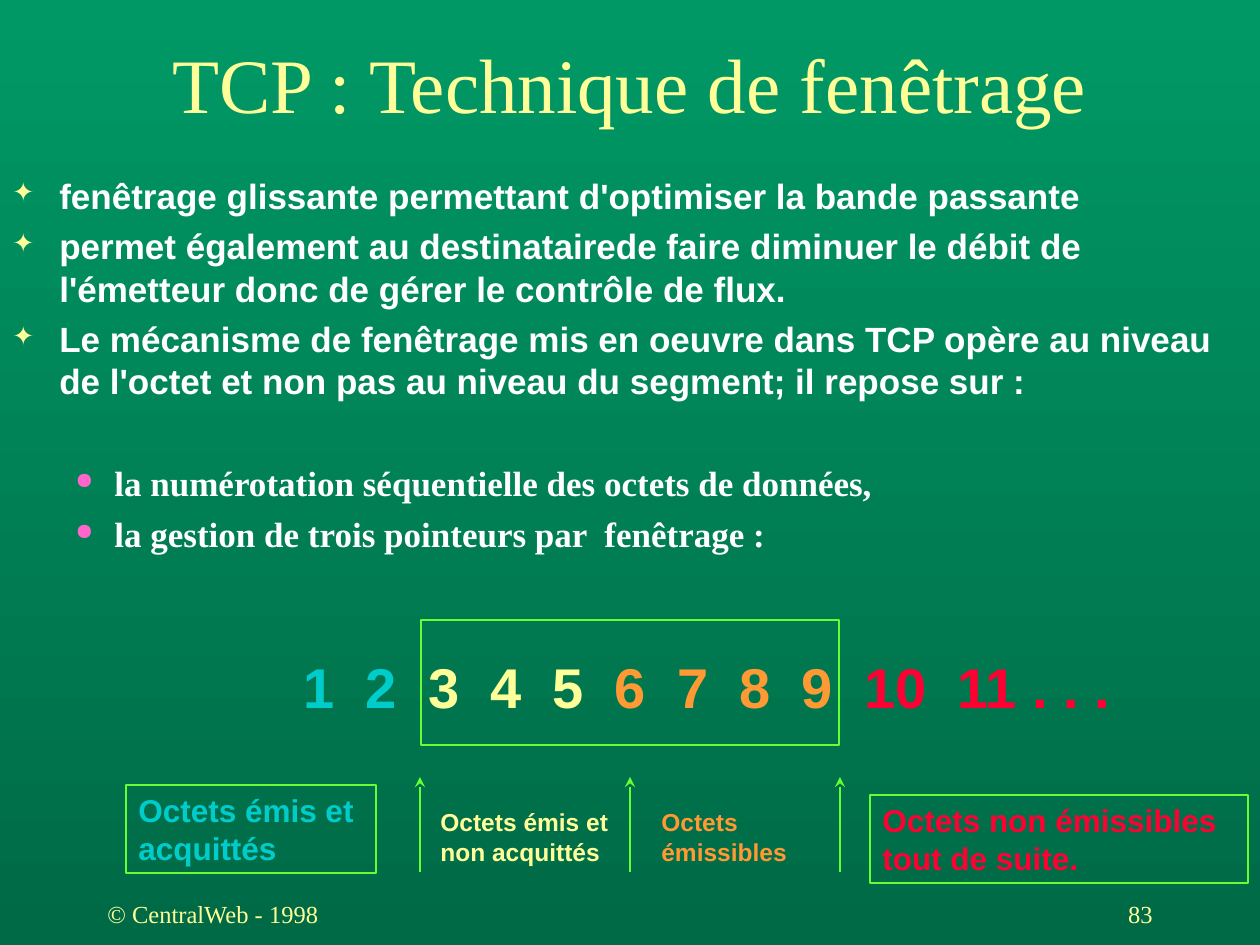
from dataclasses import dataclass

from lxml.etree import SubElement
from pptx import Presentation
from pptx.dml.color import RGBColor
from pptx.enum.shapes import MSO_CONNECTOR as Connector, MSO_SHAPE as Shape
from pptx.enum.text import MSO_ANCHOR as Anchor, PP_ALIGN as Align
from pptx.oxml.ns import qn
from pptx.util import Pt

PX = 914400 / 126


@dataclass(frozen=True)
class Theme:
    serif: str = "Times New Roman"
    sans: str = "Arial"
    top: str = "009966"
    bottom: str = "006A46"
    yellow: str = "FFFF99"
    white: str = "FFFFFF"
    cyan: str = "00CCCC"
    orange: str = "FF9933"
    red: str = "FF0033"
    pink: str = "FF66CC"
    green: str = "66FF33"
    title: int = 44
    digits: int = 32
    body: int = 20
    label: int = 18
    small: int = 14


THEME = Theme()


def emu(*lengths):
    return [round(length * PX) for length in lengths]


def rgb(colour):
    return RGBColor.from_string(colour)


def style(span, size, colour, face=THEME.sans, bold=True):
    font = span.font
    font.size, font.name, font.bold = Pt(size), face, bold
    font.color.rgb = rgb(colour)


def add_text(page, box, text, size, colour, face=THEME.sans, bold=True,
             wrap=True, anchor=Anchor.TOP, align=Align.LEFT, framed=False):
    """Place text of one style; framed draws the green outline round it."""
    if framed:
        shape = add_frame(page, box)
    else:
        shape = page.shapes.add_textbox(*emu(*box))
    frame = shape.text_frame
    frame.word_wrap, frame.vertical_anchor = wrap, anchor
    frame.text = text
    for para in frame.paragraphs:
        para.alignment = align
        for span in para.runs:
            style(span, size, colour, face, bold)
    return shape


def add_frame(page, box):
    frame = page.shapes.add_shape(Shape.RECTANGLE, *emu(*box))
    frame.shadow.inherit = False
    frame.fill.background()
    frame.line.color.rgb = rgb(THEME.green)
    frame.line.width = Pt(1)
    return frame


def add_bullet(para, char, colour, percent, margin, hang):
    props = para._p.get_or_add_pPr()
    props.set("marL", str(emu(margin)[0]))
    props.set("indent", str(emu(-hang)[0]))
    SubElement(SubElement(props, qn("a:buClr")), qn("a:srgbClr")).set("val", colour)
    SubElement(props, qn("a:buSzPct")).set("val", str(percent * 1000))
    SubElement(props, qn("a:buChar")).set("char", char)


def add_tabs(para, stops):
    tabs = SubElement(para._p.get_or_add_pPr(), qn("a:tabLst"))
    for stop in emu(*stops):
        tab = SubElement(tabs, qn("a:tab"))
        tab.set("pos", str(stop))
        tab.set("algn", "l")


def add_background(page):
    fill = page.background.fill
    fill.gradient()
    fill.gradient_angle = 270
    for stop, colour, place in zip(fill.gradient_stops, (THEME.top, THEME.bottom), (0, 1)):
        stop.color.rgb = rgb(colour)
        stop.position = place


def add_body(page, box):
    points = [
        "fenêtrage glissante permettant d'optimiser la bande passante",
        "permet également au destinatairede faire diminuer le débit de "
        "l'émetteur donc de gérer le contrôle de flux.",
        "Le mécanisme de fenêtrage mis en oeuvre dans TCP opère au niveau "
        "de l'octet et non pas au niveau du segment; il repose sur :",
    ]
    details = [
        "la numérotation séquentielle des octets de données,",
        "la gestion de trois pointeurs par  fenêtrage :",
    ]
    body = add_text(page, box, "\n".join(points + details), THEME.body, THEME.white)
    paras = body.text_frame.paragraphs
    first_detail = len(points)
    for para in paras[1:]:
        para.space_before = Pt(5)
    paras[first_detail].space_before = Pt(34)
    for para in paras[:first_detail]:
        add_bullet(para, "✦", THEME.yellow, 75, 47, 47)
    for para in paras[first_detail:]:
        para.level = 1
        add_bullet(para, "●", THEME.pink, 65, 102, 39)
        for span in para.runs:
            span.font.name = THEME.serif


def add_digits(page, box):
    """Write the byte numbers on equal tab stops, coloured by state."""
    groups = [
        ("1\t2\t", THEME.cyan),
        ("3\t4\t5\t", THEME.yellow),
        ("6\t7\t8\t9\t", THEME.orange),
        ("10\t11 . . .", THEME.red),
    ]
    pitch = 62.3
    frame = page.shapes.add_textbox(*emu(*box)).text_frame
    frame.word_wrap = True
    para = frame.paragraphs[0]
    add_tabs(para, [pitch * step for step in range(1, 10)] + [pitch * 10.5])
    for text, colour in groups:
        span = para.add_run()
        span.text = text
        style(span, THEME.digits, colour)


def add_pointer(page, x, top, bottom):
    pointer = page.shapes.add_connector(Connector.STRAIGHT, *emu(x, top, x, bottom))
    pointer.line.color.rgb = rgb(THEME.green)
    pointer.line.width = Pt(1)
    SubElement(pointer.line._get_or_add_ln(), qn("a:headEnd")).set("type", "stealth")
    SubElement(pointer._element.spPr, qn("a:effectLst"))


def add_window(page, box):
    """Draw the byte window, its three pointers and the four captions."""
    left, top, width, height = box
    add_digits(page, (left - 130, top + 26, 835, 79))
    add_frame(page, box)
    for part in range(3):
        add_pointer(page, left - 1 + part * 210, top + 157, top + 252)
    captions = [
        ((-295, 165, 250, 88), "Octets émis et\nacquittés", THEME.label, THEME.cyan, False, True),
        ((7, 181, 200, 72), "Octets émis et\nnon acquittés", THEME.small, THEME.yellow, False, False),
        ((228, 181, 151, 72), "Octets\némissibles", THEME.small, THEME.orange, False, False),
        ((449, 175, 378, 88), "Octets non émissibles\ntout de suite.", THEME.label, THEME.red, True, True),
    ]
    for (dx, dy, w, h), text, size, colour, wrap, framed in captions:
        add_text(page, (left + dx, top + dy, w, h), text, size, colour,
                 wrap=wrap, framed=framed)


def add_footer(page, box):
    left, top, width, height = box
    cell = 262
    for x, text, align in ((left, "© CentralWeb - 1998", Align.LEFT),
                           (left + width - cell, "83", Align.RIGHT)):
        add_text(page, (x, top, cell, height), text, THEME.small, THEME.yellow,
                 THEME.serif, False, anchor=Anchor.MIDDLE, align=align)


def main():
    deck = Presentation()
    deck.slide_width, deck.slide_height = emu(1260, 945)
    page = deck.slides.add_slide(deck.slide_layouts[6])
    add_background(page)
    add_text(page, (0, 39, 1260, 87), "TCP : Technique de fenêtrage", THEME.title,
             THEME.yellow, THEME.serif, False, anchor=Anchor.MIDDLE, align=Align.CENTER)
    add_body(page, (0, 168, 1250, 399))
    add_window(page, (421, 620, 418, 125))
    add_footer(page, (95, 882, 1070, 63))
    deck.save("out.pptx")


if __name__ == "__main__":
    main()
